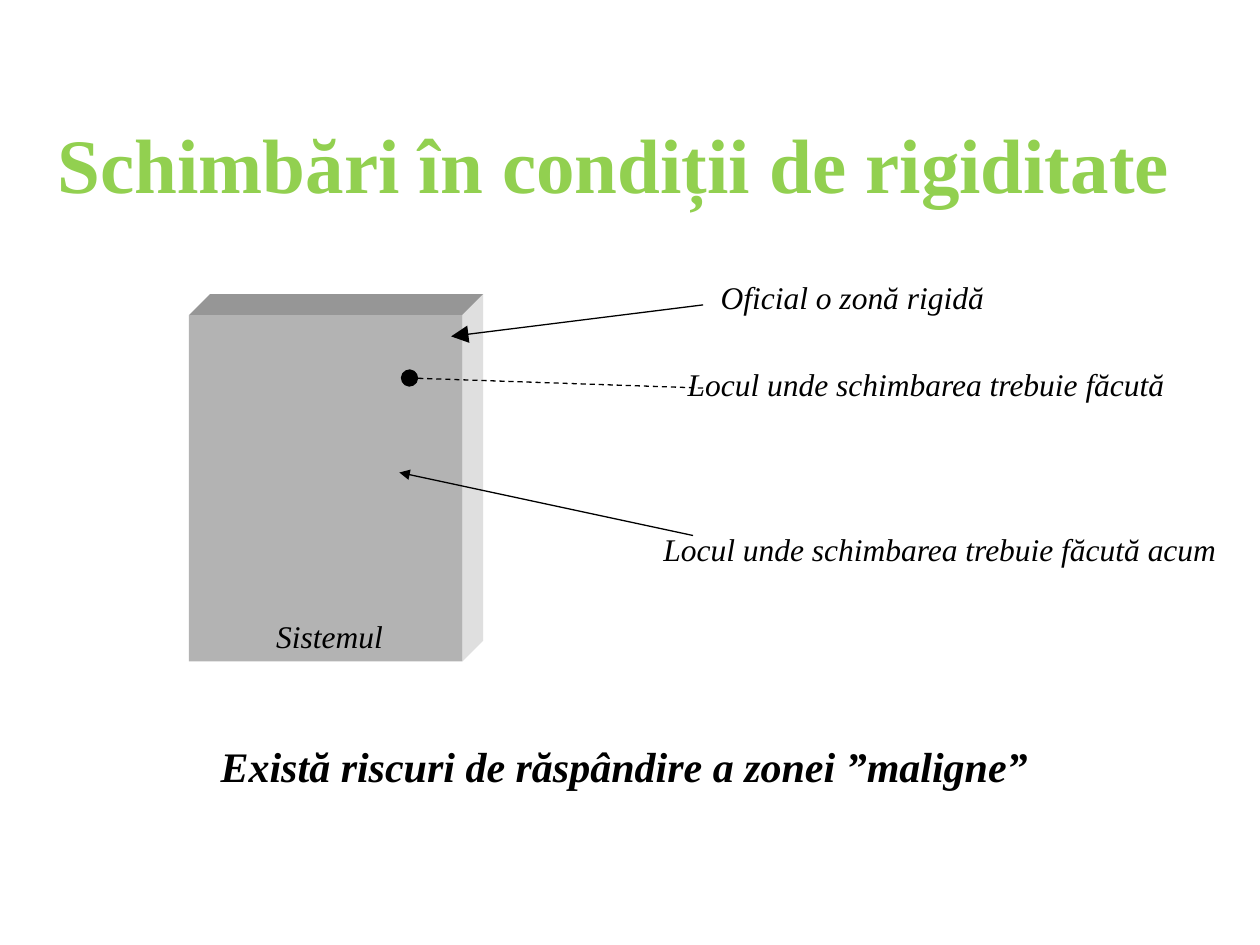
import pptx
import pptx.util
import pptx.dml.color
import pptx.enum.dml
import pptx.enum.shapes
import pptx.enum.text
import pptx.oxml
from lxml import etree

Inches, Pt = pptx.util.Inches, pptx.util.Pt
RGBColor = pptx.dml.color.RGBColor
Anchor = pptx.enum.text.MSO_ANCHOR

GREEN = RGBColor(0x92, 0xD0, 0x50)
BLACK = RGBColor(0, 0, 0)
FRONT = RGBColor(0xB3, 0xB3, 0xB3)
TOP = RGBColor(0x96, 0x96, 0x96)
SIDE = RGBColor(0xDF, 0xDF, 0xDF)
DEPTH = 0.165

# Text, box, line start, line end, head kind, head size, dashed
NOTES = [
    ("Oficial o zonă rigidă", (5.61, 2.16, 2.31, 0.4),
     (5.58, 2.42), (3.58, 2.67), "triangle", "lg", False),
    ("Locul unde schimbarea trebuie făcută", (5.34, 2.85, 4.02, 0.4),
     (5.58, 3.08), (3.25, 3), "oval", "lg", True),
    ("Locul unde schimbarea trebuie făcută acum", (5.14, 4.16, 4.64, 0.4),
     (5.5, 4.25), (3.17, 3.75), "triangle", "med", False),
]


def write(shape, text, size, color=BLACK, bold=False, italic=True,
          anchor=Anchor.MIDDLE, wrap=False):
    frame = shape.text_frame
    frame.word_wrap = wrap
    frame.vertical_anchor = anchor
    para = frame.paragraphs[0]
    para.text = text
    para.alignment = pptx.enum.text.PP_ALIGN.CENTER
    font = para.font
    font.name, font.size = "Times New Roman", Pt(size)
    font.bold, font.italic = bold, italic
    font.color.rgb = color


def add_text(slide, box, text, size, **style):
    shape = slide.shapes.add_textbox(*map(Inches, box))
    write(shape, text, size, **style)


def paint(shape, color):
    shape.shadow.inherit = False
    shape.fill.solid()
    shape.fill.fore_color.rgb = color
    shape.line.fill.background()


def add_face(slide, points, color):
    points = [(Inches(x), Inches(y)) for x, y in points]
    form = slide.shapes.build_freeform(*points[0])
    form.add_line_segments(points[1:], close=True)
    paint(form.convert_to_shape(), color)


def add_block(slide, left, top, width, height):
    """Draw the system as a block whose depth runs up and to the right."""
    right, base = left + width, top + height
    back, rise = right + DEPTH, top - DEPTH
    add_face(slide, [(left, top), (left + DEPTH, rise), (back, rise),
                     (right, top)], TOP)
    add_face(slide, [(right, top), (back, rise), (back, base - DEPTH),
                     (right, base)], SIDE)
    front = slide.shapes.add_shape(
        pptx.enum.shapes.MSO_SHAPE.RECTANGLE,
        *map(Inches, (left, top, width, height)))
    paint(front, FRONT)
    write(front, " Sistemul", 18, anchor=Anchor.BOTTOM)


def add_arrow(slide, start, end, head, size, dashed):
    link = slide.shapes.add_connector(
        pptx.enum.shapes.MSO_CONNECTOR.STRAIGHT,
        *map(Inches, (*start, *end)))
    link.line.color.rgb = BLACK
    link.line.width = Pt(0.75)
    if dashed:
        link.line.dash_style = pptx.enum.dml.MSO_LINE.DASH
    qn = pptx.oxml.ns.qn
    etree.SubElement(link.line._get_or_add_ln(), qn("a:tailEnd"),
                     type=head, w=size, len=size)
    etree.SubElement(link._element.spPr, qn("a:effectLst"))


def add_note(slide, text, box, *arrow):
    add_arrow(slide, *arrow)
    add_text(slide, box, text, 18)


def main():
    deck = pptx.Presentation()
    deck.slide_width, deck.slide_height = Inches(10), Inches(7.5)
    slide = deck.slides.add_slide(deck.slide_layouts[6])
    add_text(slide, (0.25, 0.75, 9.25, 1.08),
             "Schimbări în condiții de rigiditate", 44,
             color=GREEN, bold=True, italic=False, wrap=True)
    add_block(slide, 1.5, 2.5, 2.17, 2.75)
    for note in NOTES:
        add_note(slide, *note)
    add_text(slide, (1.53, 5.83, 6.85, 0.5),
             "Există riscuri de răspândire a zonei ”maligne”", 24, bold=True)
    deck.save("out.pptx")


if __name__ == "__main__":
    main()
